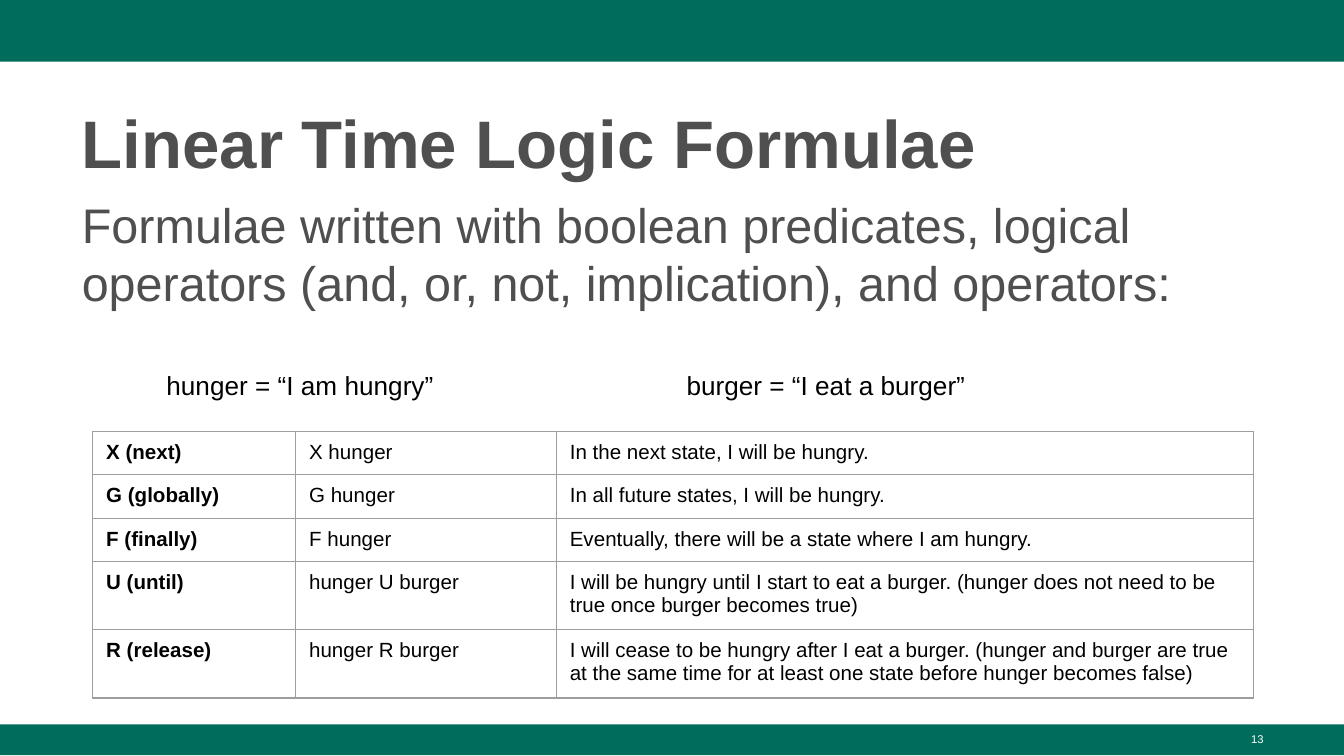
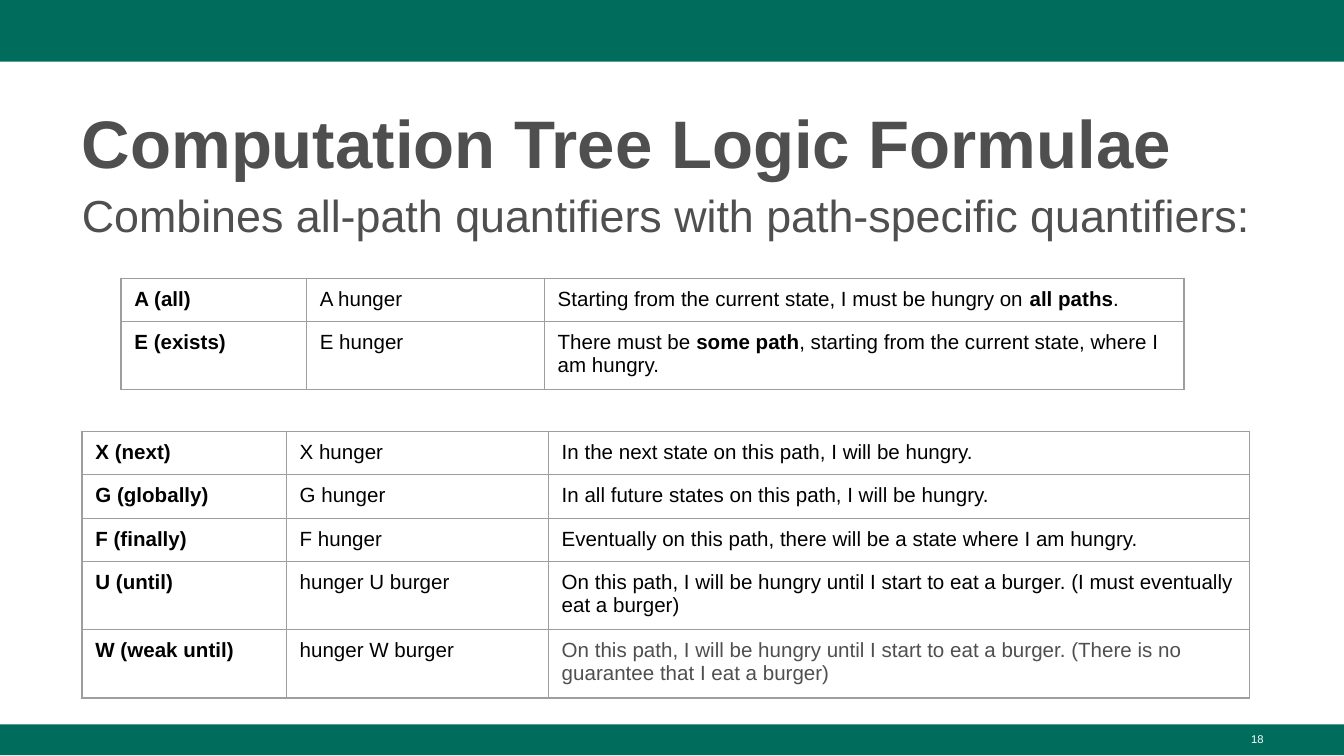
"""Build two slides on temporal logic formulae."""
from dataclasses import dataclass

from lxml.etree import SubElement
from pptx import Presentation
from pptx.dml.color import RGBColor
from pptx.enum.shapes import MSO_SHAPE as Preset
from pptx.enum.text import MSO_ANCHOR as Anchor, PP_ALIGN as Align
from pptx.oxml.ns import qn
from pptx.util import Inches, Pt

COLORS = {
    "band": "006C5C",
    "heading": "4F4F4F",
    "text": "000000",
    "border": "9E9E9E",
    "number": "FFFFFF",
}
FONT = "Arial"
PAGE_WIDTH = Inches(10)
PAGE_HEIGHT = PAGE_WIDTH * 9 // 16
ROW_HEIGHT = Inches(0.31)
FRAME_SIDE = Inches(3.28)
BORDER_WIDTH = Pt(0.75)


@dataclass(frozen=True)
class Band:
    top: float
    height: float


@dataclass(frozen=True)
class Label:
    text: str
    left: float
    top: float
    width: float
    height: float
    size: float
    color: str = "heading"
    bold: bool = False
    align: Align = Align.LEFT
    anchor: Anchor = Anchor.TOP
    inset: float = 0.05
    line_spacing: float | None = None
    space_before: float = 0
    tab_stop: float | None = None


@dataclass(frozen=True)
class Span:
    text: str
    bold: bool = False
    color: str = "text"


@dataclass(frozen=True)
class Operator:
    name: str
    formula: str
    meaning: tuple[Span, ...]


@dataclass(frozen=True)
class Grid:
    left: float
    top: float
    columns: tuple[float, ...]
    operators: tuple[Operator, ...]


@dataclass(frozen=True)
class Topic:
    title: str
    number: int
    labels: tuple[Label, ...]
    grids: tuple[Grid, ...]


def operator(name: str, formula: str, meaning: str, color: str = "text") -> Operator:
    """Return an operator whose meaning has one style."""
    return Operator(name, formula, (Span(meaning, color=color),))


def intro(text: str, top: float, size: float) -> Label:
    """Return the body text below the title."""
    return Label(text, 0.51, top, 8.99, 5.21 - top, size, space_before=6)


BANDS = (Band(0, 0.46), Band(5.39, 0.23))

TOPICS = (
    Topic(
        "Linear Time Logic Formulae",
        13,
        (
            intro(
                "Formulae written with boolean predicates, logical operators "
                "(and, or, not, implication), and operators:",
                1.4,
                26,
            ),
            Label(
                "hunger = “I am hungry”\tburger = “I eat a burger”",
                1.14, 2.65, 7.74, 0.43, 14, "text", inset=0.1, tab_stop=3.87,
            ),
        ),
        (
            Grid(0.69, 3.21, (1.51, 1.94, 5.19), (
                operator("X (next)", "X hunger", "In the next state, I will be hungry."),
                operator("G (globally)", "G hunger", "In all future states, I will be hungry."),
                operator("F (finally)", "F hunger",
                         "Eventually, there will be a state where I am hungry."),
                operator("U (until)", "hunger U burger",
                         "I will be hungry until I start to eat a burger. "
                         "(hunger does not need to be true once burger becomes true)"),
                operator("R (release)", "hunger R burger",
                         "I will cease to be hungry after I eat a burger. "
                         "(hunger and burger are true at the same time for at least "
                         "one state before hunger becomes false)"),
            )),
        ),
    ),
    Topic(
        "Computation Tree Logic Formulae",
        18,
        (
            intro("Combines all-path quantifiers with path-specific quantifiers:", 1.35, 24),
        ),
        (
            Grid(0.61, 3.21, (1.52, 1.95, 5.22), (
                operator("X (next)", "X hunger",
                         "In the next state on this path, I will be hungry."),
                operator("G (globally)", "G hunger",
                         "In all future states on this path, I will be hungry."),
                operator("F (finally)", "F hunger",
                         "Eventually on this path, there will be a state where I am hungry."),
                operator("U (until)", "hunger U burger",
                         "On this path, I will be hungry until I start to eat a burger. "
                         "(I must eventually eat a burger)"),
                operator("W (weak until)", "hunger W burger",
                         "On this path, I will be hungry until I start to eat a burger. "
                         "(There is no guarantee that I eat a burger)", "heading"),
            )),
            Grid(0.9, 2.07, (1.38, 1.77, 4.76), (
                Operator("A (all)", "A hunger", (
                    Span("Starting from the current state, I must be hungry on "),
                    Span("all paths", bold=True),
                    Span("."),
                )),
                Operator("E (exists)", "E hunger", (
                    Span("There must be "),
                    Span("some path", bold=True),
                    Span(", starting from the current state, where I am hungry."),
                )),
            )),
        ),
    ),
)


def style_font(font, size: float, color: str, bold: bool) -> None:
    """Set the typeface, size, colour and weight of a font."""
    font.name = FONT
    font.size = Pt(size)
    font.bold = bold
    font.color.rgb = RGBColor.from_string(COLORS[color])


def draw_band(page, band: Band) -> None:
    """Draw a band across the full page width."""
    shape = page.shapes.add_shape(
        Preset.RECTANGLE, 0, Inches(band.top), PAGE_WIDTH, Inches(band.height)
    )
    shape.shadow.inherit = False
    shape.fill.solid()
    shape.fill.fore_color.rgb = RGBColor.from_string(COLORS["band"])
    shape.line.fill.background()


def draw_label(page, label: Label) -> None:
    """Draw a text box with one paragraph."""
    box = page.shapes.add_textbox(
        Inches(label.left), Inches(label.top), Inches(label.width), Inches(label.height)
    )
    frame = box.text_frame
    frame.word_wrap = True
    frame.vertical_anchor = label.anchor
    frame.margin_top = frame.margin_bottom = Inches(label.inset)
    frame.text = label.text
    para = frame.paragraphs[0]
    para.alignment = label.align
    para.space_before = Pt(label.space_before)
    if label.line_spacing:
        para.line_spacing = label.line_spacing
    if label.tab_stop:
        stops = SubElement(para._p.get_or_add_pPr(), qn("a:tabLst"))
        SubElement(stops, qn("a:tab"), pos=str(Inches(label.tab_stop)), algn="l")
    for span in para.runs:
        style_font(span.font, label.size, label.color, label.bold)


def draw_borders(cell) -> None:
    """Put a thin line on each side of a cell."""
    properties = cell._tc.get_or_add_tcPr()
    for side in ("lnL", "lnR", "lnT", "lnB"):
        line = SubElement(properties, qn(f"a:{side}"), w=str(BORDER_WIDTH))
        fill = SubElement(line, qn("a:solidFill"))
        SubElement(fill, qn("a:srgbClr"), val=COLORS["border"])


def fill_cell(cell, spans: tuple[Span, ...]) -> None:
    """Write styled text into a bordered, unfilled cell."""
    cell.margin_left = cell.margin_right = Inches(0.1)
    cell.margin_top = cell.margin_bottom = Inches(0.07)
    draw_borders(cell)
    cell.fill.background()
    para = cell.text_frame.paragraphs[0]
    for part in spans:
        span = para.add_run()
        span.text = part.text
        style_font(span.font, 11, part.color, part.bold)


def draw_grid(page, grid: Grid) -> None:
    """Draw a table of operators, formulae and meanings."""
    holder = page.shapes.add_table(
        len(grid.operators), len(grid.columns),
        Inches(grid.left), Inches(grid.top), FRAME_SIDE, FRAME_SIDE,
    )
    table = holder.table
    table.first_row = table.horz_banding = False
    for column, width in zip(table.columns, grid.columns):
        column.width = Inches(width)
    for row, entry in zip(table.rows, grid.operators):
        row.height = ROW_HEIGHT
        contents = ((Span(entry.name, bold=True),), (Span(entry.formula),), entry.meaning)
        for cell, spans in zip(row.cells, contents):
            fill_cell(cell, spans)
    holder.width = holder.height = FRAME_SIDE


def draw_topic(deck, topic: Topic) -> None:
    """Add one page with bands, title, text, tables and number."""
    page = deck.slides.add_slide(deck.slide_layouts[6])
    for band in BANDS:
        draw_band(page, band)
    title = Label(topic.title, 0.51, 0.67, 8.99, 0.73, 36, bold=True,
                  anchor=Anchor.BOTTOM, line_spacing=1.08)
    number = Label(str(topic.number), 7.17, 5.4, 2.33, 0.23, 6, "number",
                   align=Align.RIGHT)
    for label in (title, *topic.labels, number):
        draw_label(page, label)
    for grid in topic.grids:
        draw_grid(page, grid)


def main() -> None:
    """Build and save the deck."""
    deck = Presentation()
    deck.slide_width = PAGE_WIDTH
    deck.slide_height = PAGE_HEIGHT
    for topic in TOPICS:
        draw_topic(deck, topic)
    deck.save("out.pptx")


if __name__ == "__main__":
    main()
